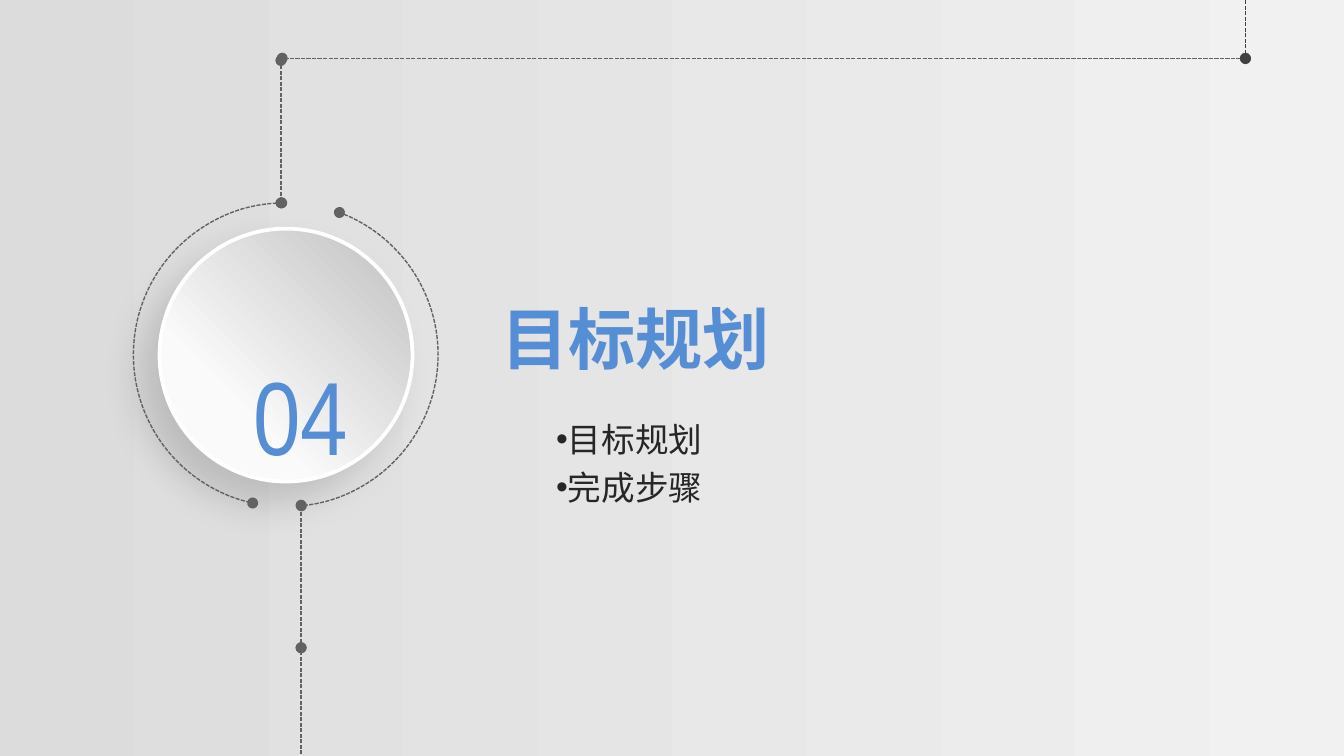
from lxml import etree
from pptx import Presentation
from pptx.dml.color import RGBColor
from pptx.enum.dml import MSO_LINE
from pptx.enum.shapes import MSO_CONNECTOR, MSO_SHAPE
from pptx.enum.text import MSO_ANCHOR, MSO_AUTO_SIZE, PP_ALIGN
from pptx.oxml import parse_xml
from pptx.oxml.ns import nsdecls, qn
from pptx.util import Pt

ARC, OVAL = MSO_SHAPE.ARC, MSO_SHAPE.OVAL
STRAIGHT = MSO_CONNECTOR.STRAIGHT
DASH = MSO_LINE.SQUARE_DOT
MIDDLE = MSO_ANCHOR.MIDDLE
GROW = MSO_AUTO_SIZE.SHAPE_TO_FIT_TEXT
LEFT, RIGHT = PP_ALIGN.LEFT, PP_ALIGN.RIGHT

WHITE = RGBColor(0xFF, 0xFF, 0xFF)
MIST = RGBColor(0xF1, 0xF1, 0xF1)
PEARL = RGBColor(0xFA, 0xFA, 0xFA)
SMOKE = RGBColor(0xDC, 0xDC, 0xDC)
SILVER = RGBColor(0xBF, 0xBF, 0xBF)
GREY = RGBColor(0x62, 0x62, 0x62)
DARK = RGBColor(0x40, 0x40, 0x40)
INK = RGBColor(0x26, 0x26, 0x26)
BLUE = RGBColor(0x55, 0x8E, 0xD5)

HAN = "Noto Sans CJK SC"
SLIM = "Arial Narrow"


class Deck:
    def __init__(self, slide):
        self.slide = slide
        self.shapes = slide.shapes

    def blend(self, fill, start, end, stop=1, angle=0):
        fill.gradient()
        fill.gradient_angle = angle
        stops = fill.gradient_stops
        for item, color, place in zip(stops, (start, end), (0, stop)):
            item.color.rgb = color
            item.position = place

    def trace(self, shape, color):
        """Dashed line with a dot at each end."""
        line = shape.line
        line.color.rgb = color
        line.width = Pt(0.75)
        line.dash_style = DASH
        for end in ("a:headEnd", "a:tailEnd"):
            etree.SubElement(line._get_or_add_ln(), qn(end), type="oval")

    def disc(self, x, y, size):
        disc = self.shapes.add_shape(OVAL, Pt(x), Pt(y), Pt(size), Pt(size))
        self.blend(disc.fill, SILVER, PEARL, 0.7, 225)
        disc.line.color.rgb = WHITE
        disc.line.width = Pt(2)
        disc._element.spPr.append(parse_xml(
            f'<a:effectLst {nsdecls("a")}><a:outerShdw blurRad="{Pt(20)}" '
            f'dist="{Pt(15)}" dir="8100000" algn="tr" rotWithShape="0">'
            '<a:srgbClr val="000000"><a:alpha val="15000"/></a:srgbClr>'
            '</a:outerShdw></a:effectLst>'))

    def arc(self, x, y, size, start, end, flip=False):
        arc = self.shapes.add_shape(ARC, Pt(x), Pt(y), Pt(size), Pt(size))
        # One degree is 0.6 in adjustment units
        arc.adjustments[0] = start * 0.6
        arc.adjustments[1] = end * 0.6
        arc.fill.background()
        arc.shadow.inherit = False
        if flip:
            arc._element.spPr.xfrm.set("flipH", "1")
        self.trace(arc, GREY)

    def link(self, x1, y1, x2, y2, color=GREY):
        link = self.shapes.add_connector(
            STRAIGHT, Pt(x1), Pt(y1), Pt(x2), Pt(y2))
        self.trace(link, color)
        etree.SubElement(link._element.spPr, qn("a:effectLst"))

    def text(self, box, lines, size, color, font=HAN, bold=False,
             gap=1.2, align=LEFT, bullet=False, rise=0):
        shape = self.shapes.add_textbox(*map(Pt, box))
        frame = shape.text_frame
        frame.word_wrap = False
        frame.auto_size = GROW
        frame.vertical_anchor = MIDDLE
        for i, words in enumerate(lines):
            para = frame.add_paragraph() if i else frame.paragraphs[0]
            if bullet:
                props = para._p.get_or_add_pPr()
                props.set("marL", "0")
                props.set("indent", str(-Pt(14.4)))
                etree.SubElement(props, qn("a:buFont"), typeface="Arial")
                etree.SubElement(props, qn("a:buChar"), char="•")
            para.alignment = align
            para.line_spacing = gap
            run = para.add_run()
            run.text = words
            run.font.size = Pt(size)
            run.font.bold = bold
            run.font.color.rgb = color
            run.font.name = font
            props = run._r.get_or_add_rPr()
            etree.SubElement(props, qn("a:ea"), typeface=font)
            if rise:
                props.set("baseline", str(rise * 1000))


def main():
    prs = Presentation()
    prs.slide_width, prs.slide_height = Pt(720), Pt(405)
    deck = Deck(prs.slides.add_slide(prs.slide_layouts[6]))
    deck.blend(deck.slide.background.fill, SMOKE, MIST)

    # Numbered disc
    deck.disc(85.5, 122.5, 135.5)
    deck.text((112.3, 134.6, 81.4, 108), ["04"], 96, BLUE, SLIM,
              gap=1.5, align=RIGHT, rise=12)

    # Title and topics
    deck.text((261.4, 149, 159.8, 55.4), ["目标规划"], 36, BLUE, bold=True)
    deck.text((290.9, 216, 101.5, 59.8), ["目标规划", "完成步骤"], 18, INK,
              bullet=True)

    # Ring around the disc
    deck.arc(71.5, 108.7, 162.7, 271.33, 77.62, flip=True)
    deck.arc(72, 108.7, 162.7, 290.52, 84.28)

    # Dotted path
    deck.link(150.5, 32.4, 150.5, 108.7)
    deck.link(667.2, 31.2, 151.2, 31.2)
    deck.link(161.3, 347, 161.3, 270.7)
    deck.link(161.3, 412.6, 161.3, 347)
    deck.link(667.2, 31.4, 667.2, -11.5, DARK)

    prs.save("out.pptx")


if __name__ == "__main__":
    main()
